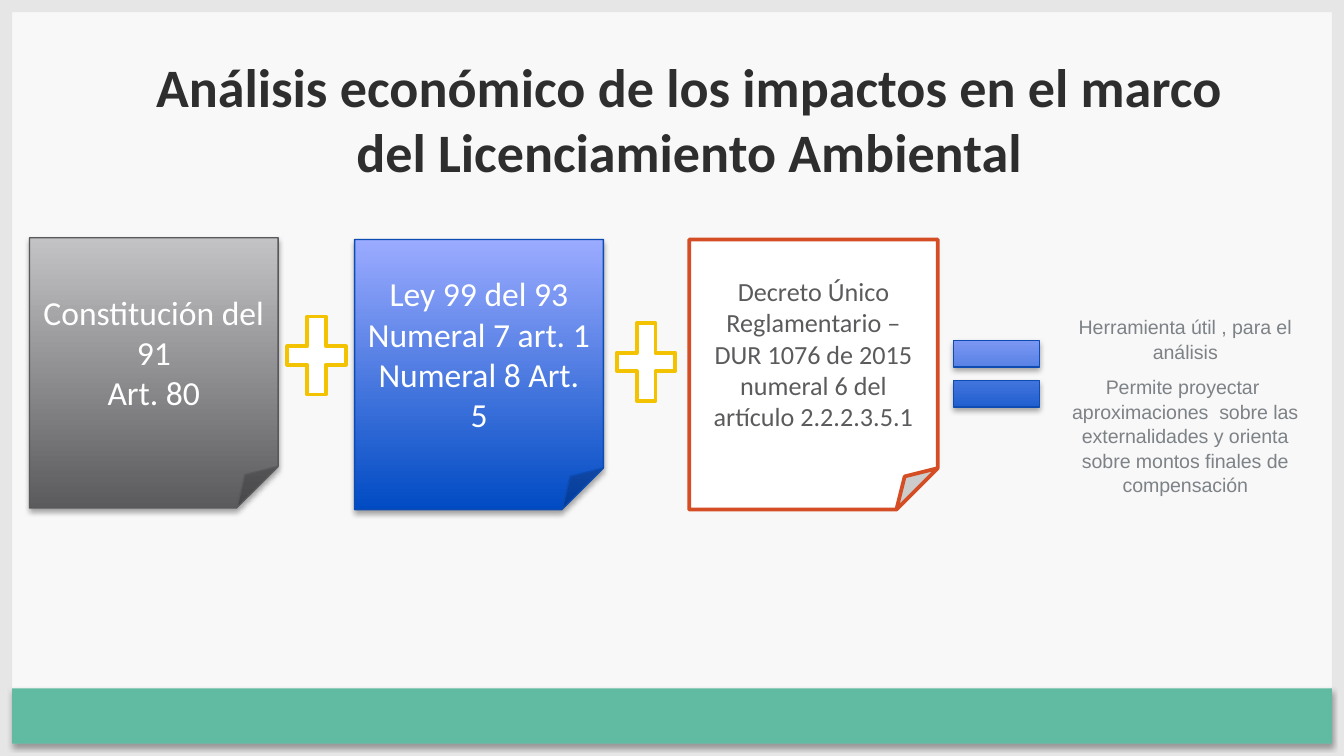
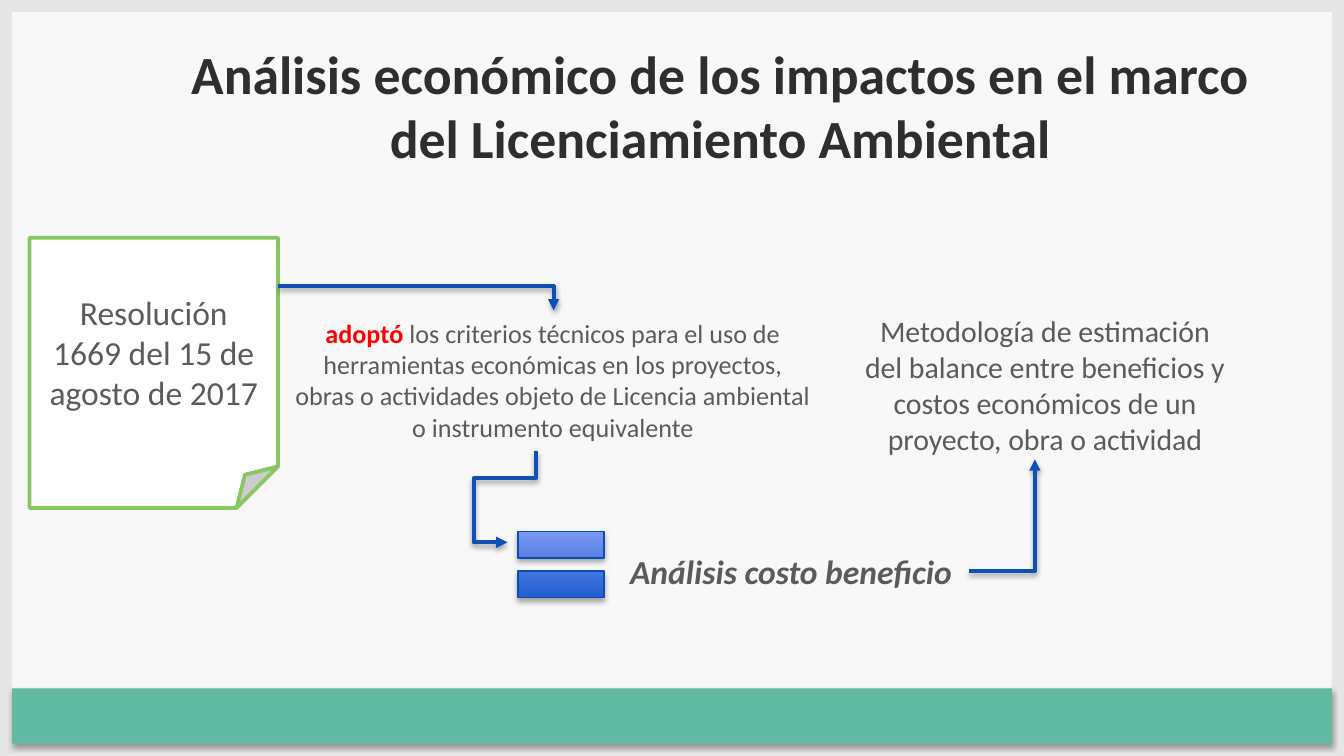
import pptx
import pptx.util
import pptx.dml.color
import pptx.enum.shapes
import pptx.enum.text
import pptx.oxml.ns
from lxml import etree

Pt = pptx.util.Pt
RGB = pptx.dml.color.RGBColor
SHAPE = pptx.enum.shapes.MSO_SHAPE
ELBOW = pptx.enum.shapes.MSO_CONNECTOR.ELBOW
ANCHOR = pptx.enum.text.MSO_ANCHOR
FIT = pptx.enum.text.MSO_AUTO_SIZE
CENTER = pptx.enum.text.PP_ALIGN.CENTER
LEFT = pptx.enum.text.PP_ALIGN.LEFT
qn = pptx.oxml.ns.qn

# Colours
PAPER = RGB(0xF8, 0xF8, 0xF8)
FRAME = RGB(0xE6, 0xE6, 0xE6)
TEAL = RGB(0x61, 0xBB, 0xA2)
INK = RGB(0x2E, 0x2E, 0x2F)
GREY = RGB(0x5B, 0x5B, 0x5E)
LIGHT_GREY = RGB(0xC3, 0xC3, 0xC5)
EDGE_GREY = RGB(0x59, 0x59, 0x5C)
NOTE_GREY = RGB(0x7D, 0x82, 0x87)
BLUE = RGB(0x00, 0x4B, 0xC3)
LIGHT_BLUE = RGB(0x9B, 0xAB, 0xFF)
EDGE_BLUE = RGB(0x0C, 0x4C, 0xB3)
ARROW_BLUE = RGB(0x10, 0x4F, 0xB3)
YELLOW = RGB(0xF3, 0xC2, 0x00)
ORANGE = RGB(0xD4, 0x4D, 0x24)
GREEN = RGB(0x86, 0xC7, 0x60)
RED = RGB(0xFF, 0x00, 0x00)
WHITE = RGB(0xFF, 0xFF, 0xFF)
BLACK = RGB(0, 0, 0)

# Sizes in points
WIDTH, HEIGHT = 720, 405
EDGE = 6.5
NOTE_W, NOTE_H = 133.2, 144.7
PLUS_W, PLUS_H = 42.5, 56.9
EQUAL_W, EQUAL_H = 62.6, 60.5

TITLE = "Análisis económico de los impactos en el marco del Licenciamiento Ambiental"
BLUE_FILL = (BLUE, LIGHT_BLUE)
GREY_FILL = (GREY, LIGHT_GREY)


def style(size, color, name="Calibri", **extra):
    return {"size": Pt(size), "name": name, "color": color, **extra}


def set_font(font, fmt):
    for key, value in fmt.items():
        if key == "color":
            font.color.rgb = value
        else:
            setattr(font, key, value)


def add_text(tf, paragraphs, **para_fmt):
    """Each paragraph is a list of (text, format) runs."""
    for i, runs in enumerate(paragraphs):
        p = tf.paragraphs[0] if i == 0 else tf.add_paragraph()
        for key, value in {"alignment": CENTER, **para_fmt}.items():
            setattr(p, key, value)
        for text, fmt in runs:
            r = p.add_run()
            r.text = text
            set_font(r.font, fmt)


def add_shadow(sp_pr, alpha=35, dist=1.8):
    effects = sp_pr.find(qn("a:effectLst"))
    if effects is None:
        effects = etree.SubElement(sp_pr, qn("a:effectLst"))
    shadow = etree.SubElement(effects, qn("a:outerShdw"), blurRad=str(Pt(3.1)),
                              dist=str(Pt(dist)), dir="5400000", rotWithShape="0")
    color = etree.SubElement(shadow, qn("a:srgbClr"), val=str(BLACK))
    etree.SubElement(color, qn("a:alpha"), val=str(alpha * 1000))


def add_box(slide, kind, x, y, w, h, fill, line=None, width=2, shadow=False):
    """A shape; a pair of fill colours is a gradient from bottom to top."""
    sp = slide.shapes.add_shape(kind, Pt(x), Pt(y), Pt(w), Pt(h))
    sp.shadow.inherit = False
    if isinstance(fill, RGB):
        sp.fill.solid()
        sp.fill.fore_color.rgb = fill
    else:
        sp.fill.gradient()
        sp.fill.gradient_angle = 90
        for stop, color, position in zip(sp.fill.gradient_stops, fill, (0, 1)):
            stop.color.rgb = color
            stop.position = position
    if line is None:
        sp.line.fill.background()
    else:
        sp.line.color.rgb = line
        sp.line.width = Pt(width)
    if shadow:
        add_shadow(sp.element.spPr)
    return sp


def add_note(slide, x, y, lines, fmt, fill, line, **look):
    sp = add_box(slide, SHAPE.FOLDED_CORNER, x, y, NOTE_W, NOTE_H, fill, line, **look)
    tf = sp.text_frame
    tf.word_wrap = True
    tf.vertical_anchor = ANCHOR.MIDDLE
    add_text(tf, [[(text, fmt)] for text in lines])


def add_plus(slide, x, y):
    add_box(slide, SHAPE.MATH_PLUS, x, y, PLUS_W, PLUS_H, WHITE, YELLOW)


def add_equal(slide, x, y):
    add_box(slide, SHAPE.MATH_EQUAL, x, y, EQUAL_W, EQUAL_H,
            BLUE_FILL, EDGE_BLUE, width=0.75, shadow=True)


def add_label(slide, x, y, w, h, paragraphs, wrap=True, **para_fmt):
    tf = slide.shapes.add_textbox(Pt(x), Pt(y), Pt(w), Pt(h)).text_frame
    tf.word_wrap = wrap
    tf.auto_size = FIT.SHAPE_TO_FIT_TEXT
    add_text(tf, paragraphs, **para_fmt)


def add_arrow(slide, x1, y1, x2, y2, preset="bentConnector2", adjust=(), rotation=0):
    cxn = slide.shapes.add_connector(ELBOW, Pt(x1), Pt(y1), Pt(x2), Pt(y2))
    cxn.line.color.rgb = ARROW_BLUE
    cxn.line.width = Pt(2)
    cxn.rotation = rotation
    sp_pr = cxn.element.spPr
    geom = sp_pr.find(qn("a:prstGeom"))
    geom.set("prst", preset)
    guides = geom.find(qn("a:avLst"))
    for i, value in enumerate(adjust, 1):
        etree.SubElement(guides, qn("a:gd"), name=f"adj{i}", fmla=f"val {value}")
    etree.SubElement(sp_pr.find(qn("a:ln")), qn("a:tailEnd"), type="triangle")
    add_shadow(sp_pr, alpha=38, dist=1.6)


def add_slide(prs, x, y, w, size):
    """A title-only slide with its heading in place."""
    slide = prs.slides.add_slide(prs.slide_layouts[5])
    sp = slide.shapes.title
    for key, value in {"left": x, "top": y, "width": w, "height": 63.4}.items():
        setattr(sp, key, Pt(value))
    tf = sp.text_frame
    for key, value in {"word_wrap": True, "auto_size": FIT.NONE,
                       "vertical_anchor": ANCHOR.TOP, "margin_top": Pt(7.2)}.items():
        setattr(tf, key, value)
    add_text(tf, [[(TITLE, style(size, INK, bold=True))]])
    return slide


def dress_master(prs, slide):
    """Draw the frame and the footer band, and move them to the master."""
    master = prs.slide_master
    master.background.fill.solid()
    master.background.fill.fore_color.rgb = PAPER
    bars = [(0, 0, WIDTH, EDGE), (0, HEIGHT - EDGE, WIDTH, EDGE),
            (0, 0, EDGE, HEIGHT), (WIDTH - EDGE, 0, EDGE, HEIGHT)]
    parts = [add_box(slide, SHAPE.RECTANGLE, *bar, FRAME) for bar in bars]
    parts.append(add_box(slide, SHAPE.RECTANGLE, EDGE, 368.8, WIDTH - 2 * EDGE, 29.7,
                         TEAL, shadow=True))
    for sp in parts:
        master.shapes.element.append(sp.element)


def build_legal_basis(slide):
    white_18 = style(18, WHITE)
    small = style(10.5, NOTE_GREY, "Arial")
    # Three norms added together
    add_note(slide, 15.8, 127.4, ["Constitución del 91", "Art. 80"], white_18,
             GREY_FILL, EDGE_GREY, width=0.75, shadow=True)
    add_note(slide, 190, 128.3,
             ["Ley 99 del 93", "Numeral 7 art. 1", "Numeral 8 Art. 5"], white_18,
             BLUE_FILL, EDGE_BLUE, width=0.75, shadow=True)
    add_plus(slide, 148.3, 162)
    add_note(slide, 369.2, 128.3,
             ["Decreto Único Reglamentario – DUR 1076 de 2015",
              "numeral 6 del artículo 2.2.2.3.5.1"], style(14, GREY), WHITE, ORANGE)
    add_plus(slide, 324.9, 165.5)
    # Result
    add_equal(slide, 502.6, 170)
    add_label(slide, 561.6, 164.9, 146.9, 102.2,
              [[("Herramienta útil , para el análisis", small)],
               [("Permite proyectar  aproximaciones  sobre las externalidades y orienta "
                 "sobre montos finales de compensación", small)]],
              space_after=Pt(6), line_spacing=1.04)


def build_resolution(slide):
    # Resolution and what it adopted
    add_note(slide, 15.8, 127.4, ["Resolución 1669 del 15 de agosto de 2017"],
             style(18, GREY), WHITE, GREEN)
    add_equal(slide, 269.3, 272.2)
    add_label(slide, 149, 166.3, 294.5, 74.9,
              [[("adoptó", style(14, RED, bold=True)),
                (" los criterios técnicos para el uso de herramientas económicas en los "
                 "proyectos, obras o actividades objeto de Licencia ambiental o "
                 "instrumento equivalente", style(14, GREY))]])
    add_arrow(slide, 149, 153.4, 296.6, 166.3)
    add_arrow(slide, 254.9, 258.5, 303.9, 273.6, "bentConnector4", (30100, 219700), 90)
    # Cost-benefit analysis and its method
    add_label(slide, 330.5, 291.6, 188.6, 28.8,
              [[("Análisis costo beneficio", style(18, GREY, bold=True, italic=True))]],
              wrap=False, alignment=LEFT)
    add_arrow(slide, 519.1, 306, 554.4, 246.2)
    add_label(slide, 455.8, 164.2, 208.1, 85,
              [[("Metodología de estimación del balance entre beneficios y costos "
                 "económicos de un proyecto, obra o actividad", style(16, GREY))]])


def main():
    prs = pptx.Presentation()
    prs.slide_width, prs.slide_height = Pt(WIDTH), Pt(HEIGHT)
    legal = add_slide(prs, 70.6, 21.6, 597.6, 29)
    dress_master(prs, legal)
    build_legal_basis(legal)
    build_resolution(add_slide(prs, 82.8, 14.4, 606.2, 28.8))
    prs.save("out.pptx")


if __name__ == "__main__":
    main()
